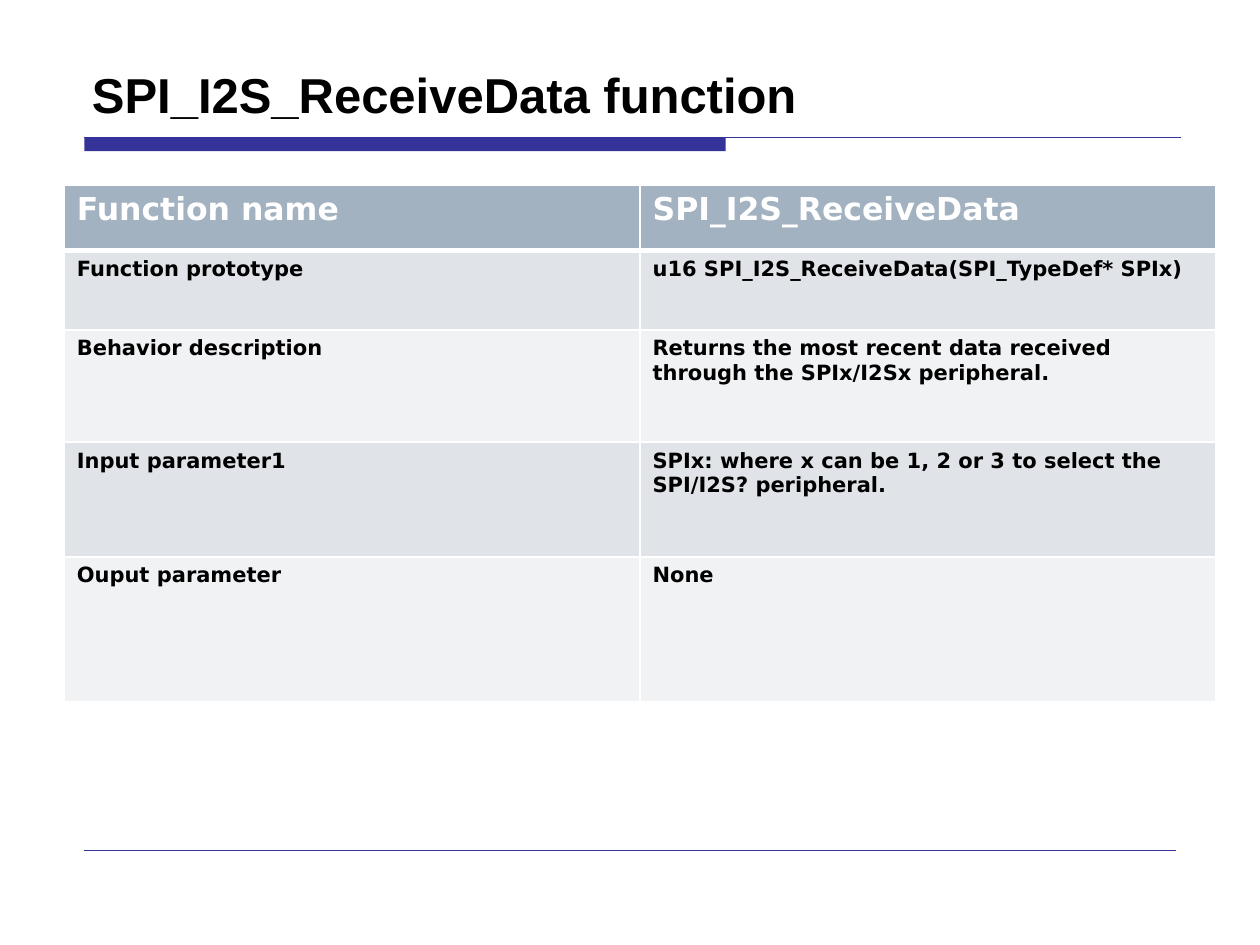
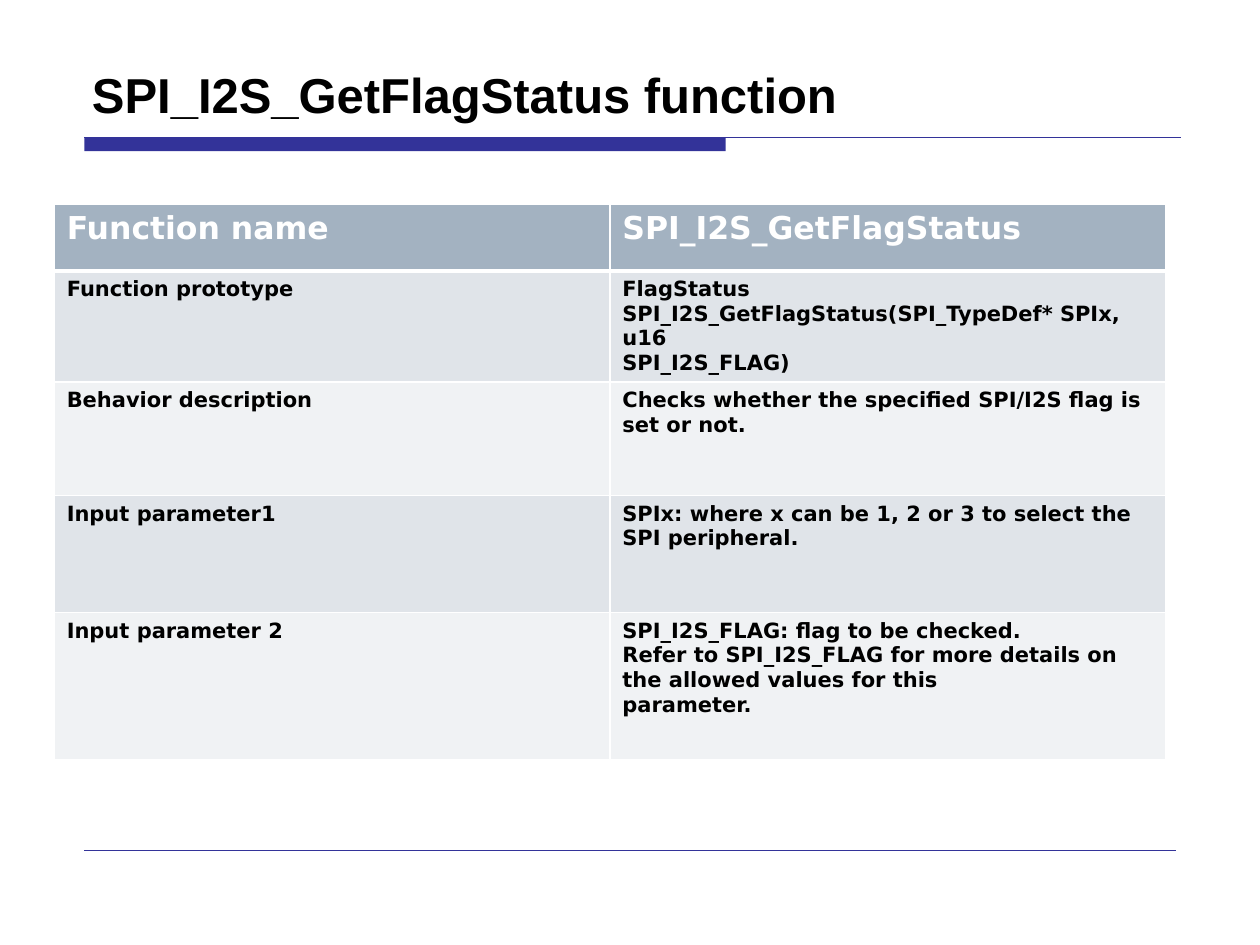
from dataclasses import dataclass

import pptx
import pptx.dml.color
import pptx.enum.shapes
import pptx.enum.text
import pptx.oxml.ns
import pptx.presentation
import pptx.shapes.base
import pptx.slide
import pptx.table
import pptx.util
from lxml import etree
from pptx.util import Inches

COLORS = {
    "accent": "333399",
    "title": "000000",
    "header_text": "FFFFFF",
    "body_text": "000000",
    "header_fill": "A3B2C1",
    "odd_fill": "E0E4E9",
    "even_fill": "F0F2F4",
    "border": "FFFFFF",
}
TITLE_FONT = "Arial"
TABLE_FONT = "DejaVu Sans"
TITLE_ONLY_LAYOUT = 5


@dataclass(frozen=True)
class Rule:
    """A horizontal line of the template."""
    left: float
    right: float
    top: float
    points: float


@dataclass(frozen=True)
class FunctionPage:
    """One library function with its description table."""
    function: str
    left: float
    top: float
    column_width: float
    row_heights: tuple[float, ...]
    details: tuple[tuple[str, str], ...]


RULES = (Rule(0.67, 9.37, 1.09, 0.75), Rule(0.67, 9.33, 6.75, 0.25))

PAGES = (
    FunctionPage(
        "SPI_I2S_ReceiveData", 0.51, 1.47, 4.57, (0.52, 0.63, 0.89, 0.91, 1.15),
        (
            ("Function prototype", "u16 SPI_I2S_ReceiveData(SPI_TypeDef* SPIx)"),
            ("Behavior description",
             "Returns the most recent data received through the SPIx/I2Sx peripheral."),
            ("Input parameter1",
             "SPIx: where x can be 1, 2 or 3 to select the SPI/I2S? peripheral."),
            ("Ouput parameter", "None"),
        ),
    ),
    FunctionPage(
        "SPI_I2S_GetFlagStatus", 0.43, 1.62, 4.41, (0.53, 0.64, 0.9, 0.93, 1.17),
        (
            ("Function prototype",
             "FlagStatus SPI_I2S_GetFlagStatus(SPI_TypeDef* SPIx, u16\nSPI_I2S_FLAG)"),
            ("Behavior description",
             "Checks whether the specified SPI/I2S flag is set or not."),
            ("Input parameter1",
             "SPIx: where x can be 1, 2 or 3 to select the SPI peripheral."),
            ("Input parameter 2",
             "SPI_I2S_FLAG: flag to be checked.\n"
             "Refer to SPI_I2S_FLAG for more details on the allowed values for this\n"
             "parameter."),
        ),
    ),
)


def color(name: str) -> pptx.dml.color.RGBColor:
    return pptx.dml.color.RGBColor.from_string(COLORS[name])


def format_text(text_frame, font_name: str, size: float, color_name: str) -> None:
    for paragraph in text_frame.paragraphs:
        paragraph.alignment = pptx.enum.text.PP_ALIGN.LEFT
        for run in paragraph.runs:
            run.font.name = font_name
            run.font.size = pptx.util.Pt(size)
            run.font.bold = True
            run.font.color.rgb = color(color_name)


# Shared template: title place, band and rules
def move_to_layout(shape: pptx.shapes.base.BaseShape,
                   layout: pptx.slide.SlideLayout) -> None:
    layout.shapes.element.append(shape.element)


def draw_band(slide: pptx.slide.Slide) -> pptx.shapes.base.BaseShape:
    band = slide.shapes.add_shape(
        pptx.enum.shapes.MSO_SHAPE.RECTANGLE,
        Inches(0.67), Inches(1.09), Inches(5.09), Inches(0.11))
    band.shadow.inherit = False
    band.fill.solid()
    band.fill.fore_color.rgb = color("accent")
    band.line.fill.background()
    return band


def draw_rule(slide: pptx.slide.Slide, rule: Rule) -> pptx.shapes.base.BaseShape:
    connector = slide.shapes.add_connector(
        pptx.enum.shapes.MSO_CONNECTOR.STRAIGHT,
        Inches(rule.left), Inches(rule.top), Inches(rule.right), Inches(rule.top))
    connector.line.color.rgb = color("accent")
    connector.line.width = pptx.util.Pt(rule.points)
    etree.SubElement(connector.element.spPr, pptx.oxml.ns.qn("a:effectLst"))
    return connector


def prepare_layout(layout: pptx.slide.SlideLayout, slide: pptx.slide.Slide) -> None:
    """Shapes can only be drawn on a slide, so they are moved from there."""
    move_to_layout(draw_band(slide), layout)
    for rule in RULES:
        move_to_layout(draw_rule(slide, rule), layout)


def write_title(slide: pptx.slide.Slide, text: str) -> None:
    title = slide.shapes.title
    title.left, title.top = Inches(0.63), Inches(0.28)
    title.width, title.height = Inches(8.75), Inches(0.75)
    text_frame = title.text_frame
    text_frame.text = text
    text_frame.word_wrap = True
    text_frame.auto_size = pptx.enum.text.MSO_AUTO_SIZE.NONE
    text_frame.vertical_anchor = pptx.enum.text.MSO_ANCHOR.BOTTOM
    format_text(text_frame, TITLE_FONT, 28, "title")


# Function table
def set_borders(cell: pptx.table._Cell, top: float, bottom: float) -> None:
    properties = cell._tc.get_or_add_tcPr()
    for side, points in (("L", 1), ("R", 1), ("T", top), ("B", bottom)):
        line = etree.SubElement(properties, pptx.oxml.ns.qn(f"a:ln{side}"),
                                w=str(pptx.util.Pt(points)))
        fill = etree.SubElement(line, pptx.oxml.ns.qn("a:solidFill"))
        etree.SubElement(fill, pptx.oxml.ns.qn("a:srgbClr"), val=COLORS["border"])


def fill_cell(cell: pptx.table._Cell, text: str, row: int) -> None:
    set_borders(cell, top=3 if row == 1 else 1, bottom=3 if row == 0 else 1)
    fill_name = "header_fill" if row == 0 else "odd_fill" if row % 2 else "even_fill"
    cell.fill.solid()
    cell.fill.fore_color.rgb = color(fill_name)
    cell.text_frame.text = text
    if row == 0:
        format_text(cell.text_frame, TABLE_FONT, 18, "header_text")
    else:
        format_text(cell.text_frame, TABLE_FONT, 12, "body_text")


def draw_table(slide: pptx.slide.Slide, page: FunctionPage) -> None:
    rows = (("Function name", page.function), *page.details)
    table = slide.shapes.add_table(
        len(rows), 2, Inches(page.left), Inches(page.top),
        Inches(2 * page.column_width), Inches(sum(page.row_heights))).table
    for column in table.columns:
        column.width = Inches(page.column_width)
    for row, (texts, height) in enumerate(zip(rows, page.row_heights)):
        table.rows[row].height = Inches(height)
        for column, text in enumerate(texts):
            fill_cell(table.cell(row, column), text, row)


def main() -> None:
    presentation = pptx.Presentation()
    presentation.slide_width, presentation.slide_height = Inches(10), Inches(7.5)
    layout = presentation.slide_layouts[TITLE_ONLY_LAYOUT]
    for number, page in enumerate(PAGES):
        slide = presentation.slides.add_slide(layout)
        if number == 0:
            prepare_layout(layout, slide)
        write_title(slide, f"{page.function} function")
        draw_table(slide, page)
    presentation.save("out.pptx")


if __name__ == "__main__":
    main()
